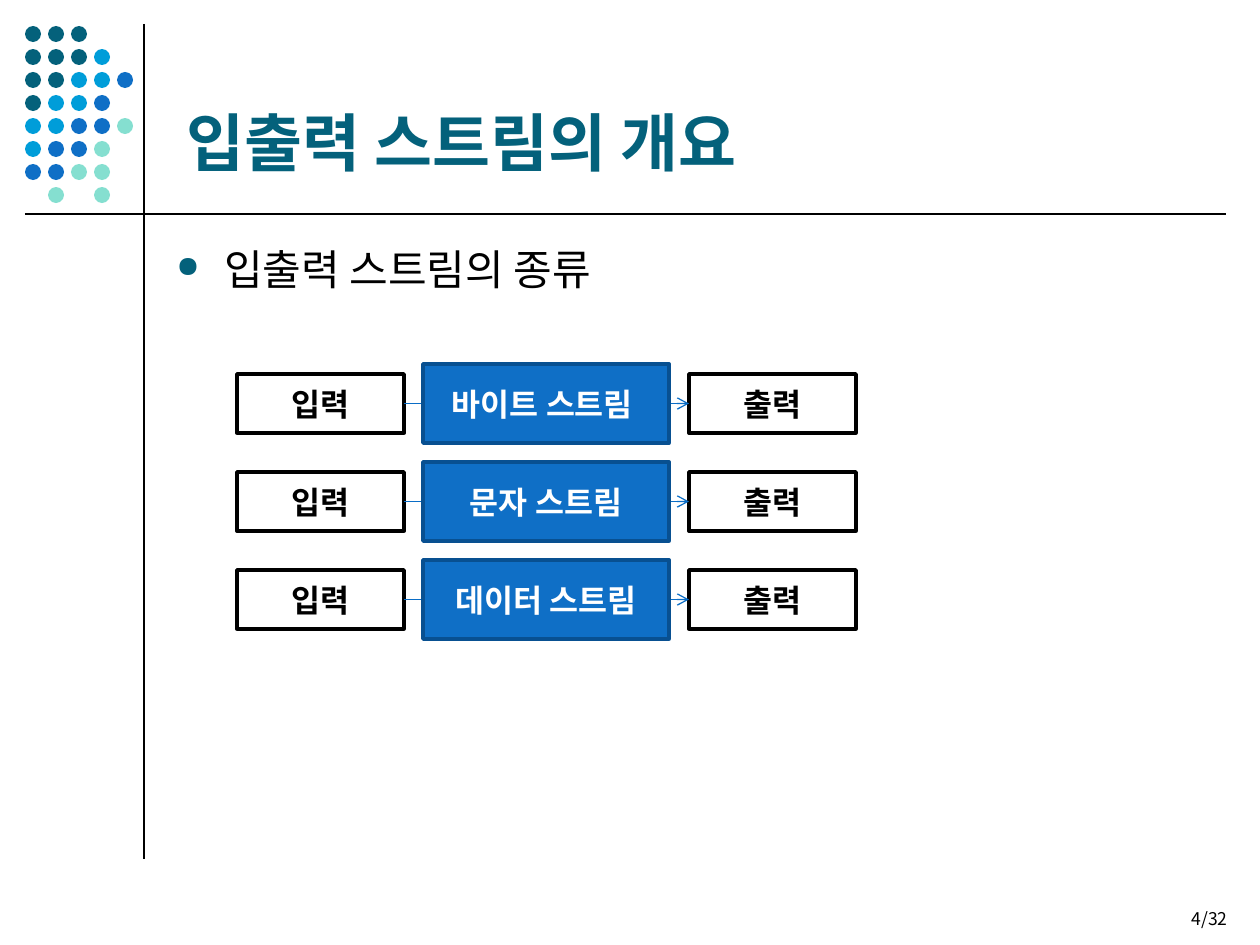
from dataclasses import dataclass

from lxml import etree
from pptx import Presentation
from pptx.dml.color import RGBColor
from pptx.enum.shapes import MSO_CONNECTOR, MSO_SHAPE
from pptx.enum.text import MSO_ANCHOR, PP_ALIGN
from pptx.oxml.ns import qn
from pptx.shapes.autoshape import Shape
from pptx.shapes.connector import Connector
from pptx.slide import Slide
from pptx.util import Emu, Inches, Pt

RECT, OVAL = MSO_SHAPE.RECTANGLE, MSO_SHAPE.OVAL
STRAIGHT = MSO_CONNECTOR.STRAIGHT
LEFT, CENTER, RIGHT = PP_ALIGN.LEFT, PP_ALIGN.CENTER, PP_ALIGN.RIGHT
TOP, MIDDLE, BOTTOM = MSO_ANCHOR.TOP, MSO_ANCHOR.MIDDLE, MSO_ANCHOR.BOTTOM

BLACK = RGBColor(0x00, 0x00, 0x00)
WHITE = RGBColor(0xFF, 0xFF, 0xFF)
TEAL = RGBColor(0x04, 0x61, 0x7B)
SKY = RGBColor(0x00, 0x9D, 0xD9)
BLUE = RGBColor(0x0F, 0x6F, 0xC6)
MINT = RGBColor(0x85, 0xDF, 0xD0)
NAVY = RGBColor(0x08, 0x50, 0x91)
ARROW = RGBColor(0x0A, 0x6D, 0xC6)

SERIF, SANS, KOREAN = "TeX Gyre Pagella", "Noto Sans", "Noto Sans CJK KR"

DOTS = ("TTT", "TTTS", "TTSSB", "TSSB", "SSBBM", "SBBM", "BBMM", " M M")
HUES = {"T": TEAL, "S": SKY, "B": BLUE, "M": MINT}
DOT, DOT_STEP = 16, 23

STREAMS = ("바이트 스트림 ", "문자 스트림", "데이터 스트림")
ROW_STEP = 98


@dataclass(frozen=True)
class Area:
    left: int
    top: int
    width: int
    height: int

    def down(self, dist: int) -> "Area":
        return Area(self.left, self.top + dist, self.width, self.height)


@dataclass(frozen=True)
class Style:
    font: str
    size: int
    color: RGBColor
    bold: bool = False
    align: PP_ALIGN = LEFT
    anchor: MSO_ANCHOR = TOP


@dataclass(frozen=True)
class Box:
    area: Area
    fill: RGBColor
    line: RGBColor
    style: Style


LABEL = Style(SERIF, 18, BLACK, True, CENTER, MIDDLE)
LIGHT = Style(SERIF, 18, WHITE, True, CENTER, MIDDLE)
INPUT = Box(Area(237, 374, 167, 59), WHITE, BLACK, LABEL)
OUTPUT = Box(Area(689, 374, 167, 59), WHITE, BLACK, LABEL)
STREAM = Box(Area(423, 364, 246, 79), BLUE, NAVY, LIGHT)


def px(num: int) -> Emu:
    return Emu(round(num * 914400 / 126))


def place(shape: Shape, area: Area) -> None:
    shape.left, shape.top = px(area.left), px(area.top)
    shape.width, shape.height = px(area.width), px(area.height)


def write(shape: Shape, text: str, style: Style) -> None:
    frame = shape.text_frame
    frame.word_wrap = True
    frame.vertical_anchor = style.anchor
    para = frame.paragraphs[0]
    para.text = text
    para.alignment = style.align
    font = para.font
    font.name, font.size, font.bold = style.font, Pt(style.size), style.bold
    font.color.rgb = style.color


def add_text(slide: Slide, area: Area, text: str, style: Style) -> Shape:
    shape = slide.shapes.add_textbox(0, 0, 0, 0)
    place(shape, area)
    write(shape, text, style)
    return shape


def add_box(slide: Slide, box: Box, drop: int, text: str) -> Shape:
    shape = slide.shapes.add_shape(RECT, 0, 0, 0, 0)
    place(shape, box.area.down(drop))
    shape.shadow.inherit = False
    shape.fill.solid()
    shape.fill.fore_color.rgb = box.fill
    shape.line.color.rgb = box.line
    shape.line.width = Pt(2)
    write(shape, text, box.style)
    return shape


def add_line(slide: Slide, x1: int, y1: int, x2: int, y2: int,
             color: RGBColor = BLACK) -> Connector:
    line = slide.shapes.add_connector(STRAIGHT, px(x1), px(y1), px(x2), px(y2))
    line.line.color.rgb = color
    line.line.width = Pt(0.75)
    etree.SubElement(line._element.spPr, qn("a:effectLst"))
    return line


def add_dots(slide: Slide) -> None:
    for row, marks in enumerate(DOTS):
        for col, mark in enumerate(marks):
            if mark not in HUES:
                continue
            dot = slide.shapes.add_shape(OVAL, 0, 0, 0, 0)
            place(dot, Area(25 + col * DOT_STEP, 26 + row * DOT_STEP, DOT, DOT))
            dot.shadow.inherit = False
            dot.fill.solid()
            dot.fill.fore_color.rgb = HUES[mark]
            dot.line.fill.background()


def add_bullet(slide: Slide, area: Area, text: str, style: Style) -> None:
    shape = slide.shapes.add_textbox(0, 0, 0, 0)
    place(shape, area)
    props = shape.text_frame.paragraphs[0]._p.get_or_add_pPr()
    props.set("marL", str(Inches(0.38)))
    props.set("indent", str(-Inches(0.38)))
    tint = etree.SubElement(props, qn("a:buClr"))
    etree.SubElement(tint, qn("a:srgbClr"), val=str(TEAL))
    etree.SubElement(props, qn("a:buSzPct"), val="70000")
    etree.SubElement(props, qn("a:buChar"), char="●")
    write(shape, text, style)


def add_flow(slide: Slide, drop: int, name: str) -> None:
    """Draw one row: input, arrow to output, stream over the arrow."""
    start = add_box(slide, INPUT, drop, "입력")
    end = add_box(slide, OUTPUT, drop, "출력")
    arrow = add_line(slide, 0, 0, 1, 1, ARROW)
    arrow.begin_connect(start, 3)
    arrow.end_connect(end, 1)
    etree.SubElement(arrow.line._get_or_add_ln(), qn("a:tailEnd"), type="arrow")
    add_box(slide, STREAM, drop, name)


def main() -> None:
    prs = Presentation()
    prs.slide_width, prs.slide_height = Inches(10), Inches(7.5)
    slide = prs.slides.add_slide(prs.slide_layouts[5])

    add_line(slide, 144, 24, 144, 859)
    add_dots(slide)
    add_line(slide, 25, 214, 1226, 214)

    title = slide.shapes.title
    place(title, Area(174, 26, 1040, 159))
    write(title, "입출력 스트림의 개요", Style(SANS, 36, TEAL, True, LEFT, BOTTOM))
    add_bullet(slide, Area(164, 237, 1033, 607), "입출력 스트림의 종류",
               Style(SERIF, 24, BLACK))

    for row, name in enumerate(STREAMS):
        add_flow(slide, row * ROW_STEP, name)

    add_text(slide, Area(946, 902, 294, 63), "4/32",
             Style(KOREAN, 10, BLACK, align=RIGHT))
    prs.save("out.pptx")


if __name__ == "__main__":
    main()
